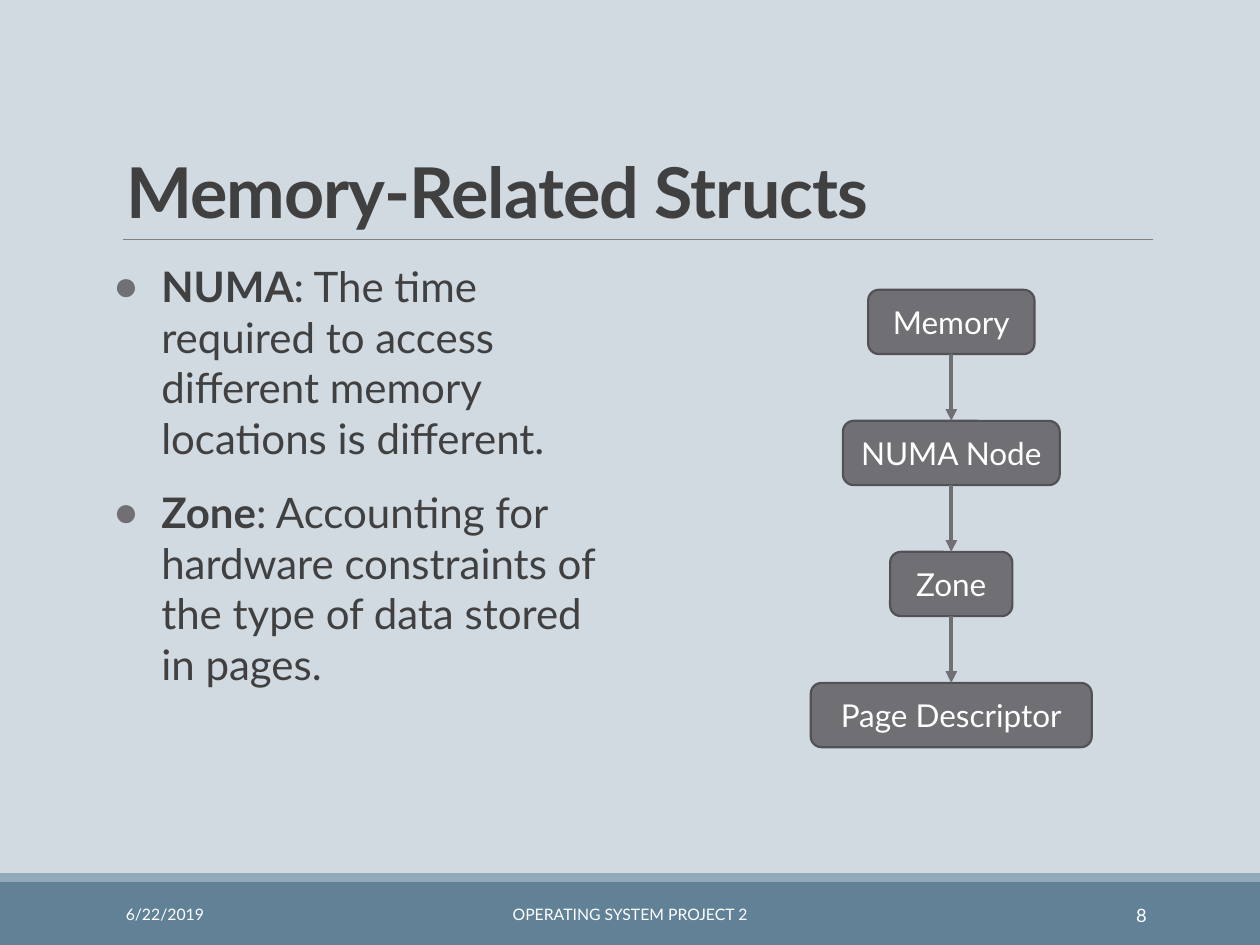
from lxml.etree import SubElement
from pptx import Presentation
from pptx.dml.color import RGBColor
from pptx.enum.shapes import MSO_CONNECTOR, MSO_SHAPE
from pptx.enum.text import MSO_ANCHOR, MSO_AUTO_SIZE, PP_ALIGN
from pptx.oxml.ns import qn
from pptx.util import Inches, Pt

COLORS = {
    "background": "D1D9E1", "footer": "618197", "stripe": "92A9B9",
    "rule": "808080", "text": "404040", "node": "6F6F74",
    "node_edge": "525256", "white": "FFFFFF",
}
RGB = {role: RGBColor.from_string(value) for role, value in COLORS.items()}


def style_run(run, size, color, bold=False):
    run.font.name = "Lato"
    run.font.size = Pt(size)
    run.font.bold = bold
    run.font.color.rgb = RGB[color]


def style_line(connector, color, width):
    """Colour a connector and switch off its theme shadow."""
    connector.line.color.rgb = RGB[color]
    connector.line.width = Pt(width)
    SubElement(connector._element.spPr, qn("a:effectLst"))


prs = Presentation()
prs.slide_width, prs.slide_height = Inches(10), Inches(7.5)
slide = prs.slides.add_slide(prs.slide_layouts[1])
slide.background.fill.solid()
slide.background.fill.fore_color.rgb = RGB["background"]

# Footer bands and title rule
for color, top, height in [("footer", 7, 0.5), ("stripe", 6.93, 0.07)]:
    band = slide.shapes.add_shape(
        MSO_SHAPE.RECTANGLE, 0, Inches(top), prs.slide_width, Inches(height))
    band.shadow.inherit = False
    band.fill.solid()
    band.fill.fore_color.rgb = RGB[color]
    band.line.fill.background()

title_rule = slide.shapes.add_connector(
    MSO_CONNECTOR.STRAIGHT, Inches(0.98), Inches(1.9), Inches(9.15), Inches(1.9))
style_line(title_rule, "rule", 0.5)

# Title
title = slide.shapes.title
title.left, title.top = Inches(0.9), Inches(0.31)
title.width, title.height = Inches(8.25), Inches(1.59)
title.text_frame.text = "Memory-Related Structs"
title.text_frame.auto_size = MSO_AUTO_SIZE.NONE
title.text_frame.vertical_anchor = MSO_ANCHOR.BOTTOM
heading = title.text_frame.paragraphs[0]
heading.alignment = PP_ALIGN.LEFT
heading.line_spacing = 0.85
style_run(heading.runs[0], 40, "text", bold=True)
heading.runs[0].font._element.set("spc", "-50")

# Definitions
body = slide.placeholders[1]
body.left, body.top = Inches(0.9), Inches(2.02)
body.width, body.height = Inches(4.05), Inches(4.4)
definitions = body.text_frame
definitions.auto_size = MSO_AUTO_SIZE.NONE
definitions.margin_left = definitions.margin_right = 0
terms = [
    ("NUMA", ": The time required to access different memory locations is different."),
    ("Zone", ": Accounting for hardware constraints of the type of data stored in pages."),
]
for index, (term, meaning) in enumerate(terms):
    item = definitions.add_paragraph() if index else definitions.paragraphs[0]
    item.space_before, item.space_after = Pt(12), Pt(2)
    for text, bold in [(term, True), (meaning, False)]:
        run = item.add_run()
        run.text = text
        style_run(run, 24, "text", bold)
    properties = item._p.get_or_add_pPr()
    properties.set("marL", str(Inches(0.38)))
    properties.set("indent", str(-Inches(0.38)))
    bullet_color = SubElement(properties, qn("a:buClr"))
    SubElement(bullet_color, qn("a:srgbClr"), val=COLORS["node"])
    SubElement(properties, qn("a:buChar"), char="●")

# Footer texts
footers = [
    ("6/22/2019", 0.9, 2.03, 9, PP_ALIGN.LEFT),
    ("OPERATING SYSTEM PROJECT 2", 3.02, 3.96, 9, PP_ALIGN.CENTER),
    ("8", 8.12, 1.08, 10.5, PP_ALIGN.RIGHT),
]
for text, left, width, size, alignment in footers:
    footer = slide.shapes.add_textbox(
        Inches(left), Inches(7.06), Inches(width), Inches(0.4)).text_frame
    footer.word_wrap = True
    footer.vertical_anchor = MSO_ANCHOR.MIDDLE
    footer.text = text
    footer.paragraphs[0].alignment = alignment
    style_run(footer.paragraphs[0].runs[0], size, "white")

# Memory hierarchy: centred boxes at an even pitch, each joined to the next
CENTER, FIRST_TOP, PITCH, NODE_HEIGHT = 7.55, 2.3, 1.04, 0.51
levels = [("Memory", 1.32), ("NUMA Node", 1.72), ("Zone", 0.97), ("Page Descriptor", 2.23)]
hierarchy = slide.shapes.add_group_shape().shapes
nodes = []
for level, (label, width) in enumerate(levels):
    node = hierarchy.add_shape(
        MSO_SHAPE.ROUNDED_RECTANGLE, Inches(CENTER - width / 2),
        Inches(FIRST_TOP + level * PITCH), Inches(width), Inches(NODE_HEIGHT))
    node.shadow.inherit = False
    node.fill.solid()
    node.fill.fore_color.rgb = RGB["node"]
    node.line.color.rgb = RGB["node_edge"]
    node.line.width = Pt(1.25)
    node.text_frame.text = label
    node.text_frame.vertical_anchor = MSO_ANCHOR.MIDDLE
    node.text_frame.paragraphs[0].alignment = PP_ALIGN.CENTER
    style_run(node.text_frame.paragraphs[0].runs[0], 18, "white")
    nodes.append(node)

for parent, child in zip(nodes, nodes[1:]):
    arrow = hierarchy.add_connector(
        MSO_CONNECTOR.STRAIGHT, Inches(CENTER), parent.top + parent.height,
        Inches(CENTER), child.top)
    arrow.begin_connect(parent, 2)
    arrow.end_connect(child, 0)
    style_line(arrow, "node", 2.25)
    SubElement(arrow.line._get_or_add_ln(), qn("a:tailEnd"), type="triangle")

prs.save("out.pptx")
